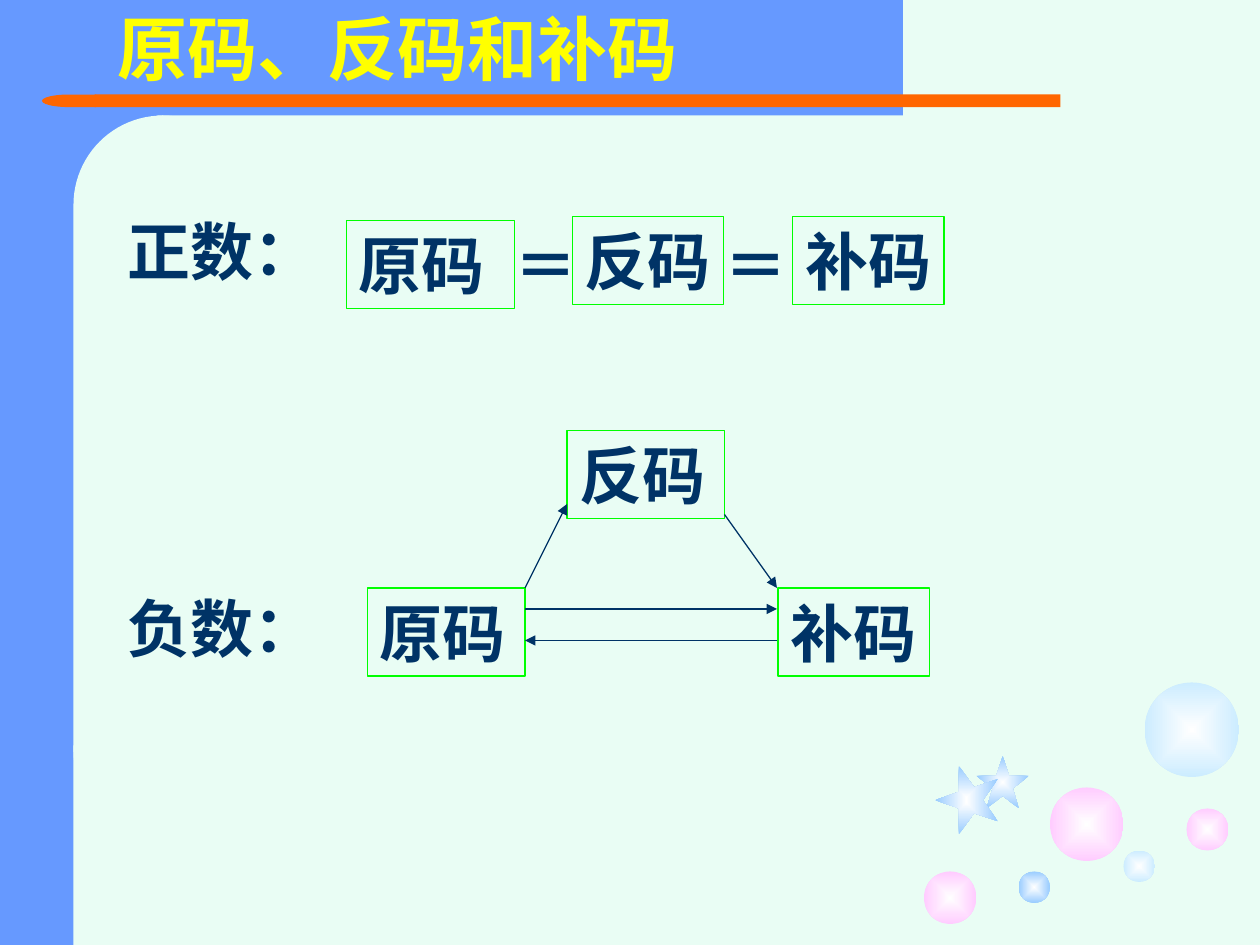
import pptx
import pptx.util
import pptx.dml.color
import pptx.enum.shapes
import pptx.enum.text
import pptx.oxml
import pptx.oxml.ns
from lxml import etree

Pt = pptx.util.Pt
SHAPE = pptx.enum.shapes.MSO_SHAPE
ALIGN = pptx.enum.text.PP_ALIGN
ANCHOR = pptx.enum.text.MSO_ANCHOR
COLORS = {
    "mint": "E9FDF4", "blue": "6699FF", "orange": "FF6600",
    "yellow": "FFFF00", "navy": "003366", "green": "00FF00",
    "white": "FFFFFF", "pink": "FFCCFF", "pale": "CCECFF", "sky": "99CCFF",
}
STAR_POINTS = [(0, 38), (38, 38), (50, 0), (62, 38), (100, 38),
               (69, 62), (81, 100), (50, 76), (19, 100), (31, 62)]


def rgb(name):
    """Return the named colour."""
    return pptx.dml.color.RGBColor.from_string(COLORS[name])


def apply(target, values):
    """Set each attribute of target from a dict."""
    for name, value in values.items():
        setattr(target, name, value)


class SlideBuilder:
    """Holds the style and the current slide."""

    font = {"name": "Times New Roman", "bold": True}
    frame = {"word_wrap": True, "vertical_anchor": ANCHOR.TOP,
             "auto_size": pptx.enum.text.MSO_AUTO_SIZE.NONE,
             "margin_left": Pt(7.2), "margin_right": Pt(7.2),
             "margin_top": Pt(3.6), "margin_bottom": Pt(3.6)}
    line_width = Pt(0.74)

    def __init__(self, slide):
        """Start on a slide with the mint background."""
        self.slide = slide
        slide.background.fill.solid()
        slide.background.fill.fore_color.rgb = rgb("mint")

    def set_text(self, shape, text, color="navy", size=36, align=ALIGN.LEFT):
        """Put formatted text into a shape."""
        apply(shape.text_frame, self.frame)
        paragraph = shape.text_frame.paragraphs[0]
        paragraph.alignment = align
        run = paragraph.add_run()
        run.text = text
        apply(run.font, {**self.font, "size": Pt(size)})
        run.font.color.rgb = rgb(color)

    def title(self, text, left, top, width, height):
        """Fill the title placeholder and bring it to the front."""
        title = self.slide.shapes.title
        apply(title, {"left": Pt(left), "top": Pt(top),
                      "width": Pt(width), "height": Pt(height)})
        self.set_text(title, text, "yellow", 40)
        title.element.getparent().append(title.element)

    def shape(self, kind, color, left, top, width, height):
        """Add a plain shape without outline; no colour means no fill."""
        shape = self.slide.shapes.add_shape(
            kind, Pt(left), Pt(top), Pt(width), Pt(height))
        shape.shadow.inherit = False
        shape.line.fill.background()
        if color:
            shape.fill.solid()
            shape.fill.fore_color.rgb = rgb(color)
        else:
            shape.fill.background()
        return shape

    def glow(self, shape, color):
        """Fill a shape from a white centre to a coloured rim."""
        shape.fill.gradient()
        stops = zip(shape.fill.gradient_stops, ("white", color), (0, 1))
        for stop, name, position in stops:
            stop.color.rgb = rgb(name)
            stop.position = position
        linear = shape.element.find(".//" + pptx.oxml.ns.qn("a:lin"))
        center = pptx.oxml.parse_xml(
            '<a:path %s path="rect"><a:fillToRect l="50000" t="50000" '
            'r="50000" b="50000"/></a:path>' % pptx.oxml.ns.nsdecls("a"))
        linear.getparent().replace(linear, center)

    def bubble(self, color, left, top, size):
        """Add a glowing circle."""
        self.glow(self.shape(SHAPE.OVAL, None, left, top, size, size), color)

    def star(self, color, left, top, width, height, rotation=0):
        """Add a glowing five-pointed star."""
        points = [(Pt(left + x * width / 100), Pt(top + y * height / 100))
                  for x, y in STAR_POINTS]
        builder = self.slide.shapes.build_freeform(*points[0])
        builder.add_line_segments(points[1:], close=True)
        star = builder.convert_to_shape()
        star.shadow.inherit = False
        star.line.fill.background()
        star.rotation = rotation
        self.glow(star, color)

    def label(self, text, left, top, width, height=50.4, align=ALIGN.LEFT):
        """Add a text box."""
        box = self.slide.shapes.add_textbox(
            Pt(left), Pt(top), Pt(width), Pt(height))
        self.set_text(box, text, align=align)

    def code_box(self, text, left, top, width, height=50.4):
        """Add a green outlined box with text."""
        box = self.shape(SHAPE.RECTANGLE, None, left, top, width, height)
        box.line.color.rgb = rgb("green")
        box.line.width = self.line_width
        self.set_text(box, text)

    def arrow(self, start, end):
        """Add a straight arrow."""
        arrow = self.slide.shapes.add_connector(
            pptx.enum.shapes.MSO_CONNECTOR.STRAIGHT,
            *(Pt(value) for value in start + end))
        arrow.line.color.rgb = rgb("navy")
        arrow.line.width = self.line_width
        properties = arrow.element.spPr
        etree.SubElement(properties.find(pptx.oxml.ns.qn("a:ln")),
                         pptx.oxml.ns.qn("a:tailEnd"), type="triangle")
        etree.SubElement(properties, pptx.oxml.ns.qn("a:effectLst"))


def draw_backdrop(builder):
    """Draw the blue frame, the orange bar and the bubbles."""
    builder.shape(SHAPE.RECTANGLE, "blue", 0, 0, 90, 540)
    builder.shape(SHAPE.RECTANGLE, "blue", 36, 0, 480, 66)
    panel = builder.shape(SHAPE.ROUNDED_RECTANGLE, "mint", 42, 66, 102, 414)
    panel.adjustments[0] = 0.5
    builder.shape(SHAPE.RECTANGLE, "orange", 54, 54, 552, 7.2)
    cap = builder.shape(SHAPE.FLOWCHART_DELAY, "orange", 24, 54, 31, 7.2)
    cap.rotation = 180
    builder.shape(SHAPE.RECTANGLE, "mint", 42, 426, 102, 114)
    for bubble in [("pink", 600, 450, 42), ("pink", 528, 498, 30),
                   ("pale", 642, 486, 18), ("pink", 678, 462, 24),
                   ("pale", 654, 390, 54), ("sky", 582, 498, 18)]:
        builder.bubble(*bubble)
    builder.star("sky", 558, 432, 30, 30)
    builder.star("sky", 532.8, 439.2, 39, 36, 270)


def draw_positive(builder):
    """Draw the row where all three codes are equal."""
    builder.label("正数：", 66, 118, 122.4)
    for box in [("原码", 198, 126, 96), ("反码", 327, 123.8, 86.4),
                ("补码", 453, 123.8, 86.4)]:
        builder.code_box(*box)
    for left in (276, 396):
        builder.label("＝", left, 126, 72, align=ALIGN.CENTER)


def draw_negative(builder):
    """Draw the conversion triangle."""
    builder.label("负数：", 66, 333.4, 122.4)
    for box in [("原码", 210, 336, 90), ("反码", 324, 246, 90),
                ("补码", 444.6, 336, 86.4)]:
        builder.code_box(*box)
    for start, end in [((414, 294), (444, 336)), ((300, 336), (324, 288)),
                       ((300, 348), (444, 348)), ((444, 366), (300, 366))]:
        builder.arrow(start, end)


def main():
    """Build and save the slide."""
    presentation = pptx.Presentation()
    apply(presentation, {"slide_width": Pt(720), "slide_height": Pt(540)})
    layout = presentation.slide_layouts.get_by_name("Title Only")
    builder = SlideBuilder(presentation.slides.add_slide(layout))
    draw_backdrop(builder)
    builder.title("原码、反码和补码", 60, -0.7, 453.6, 55.4)
    draw_positive(builder)
    draw_negative(builder)
    presentation.save("out.pptx")


main()
